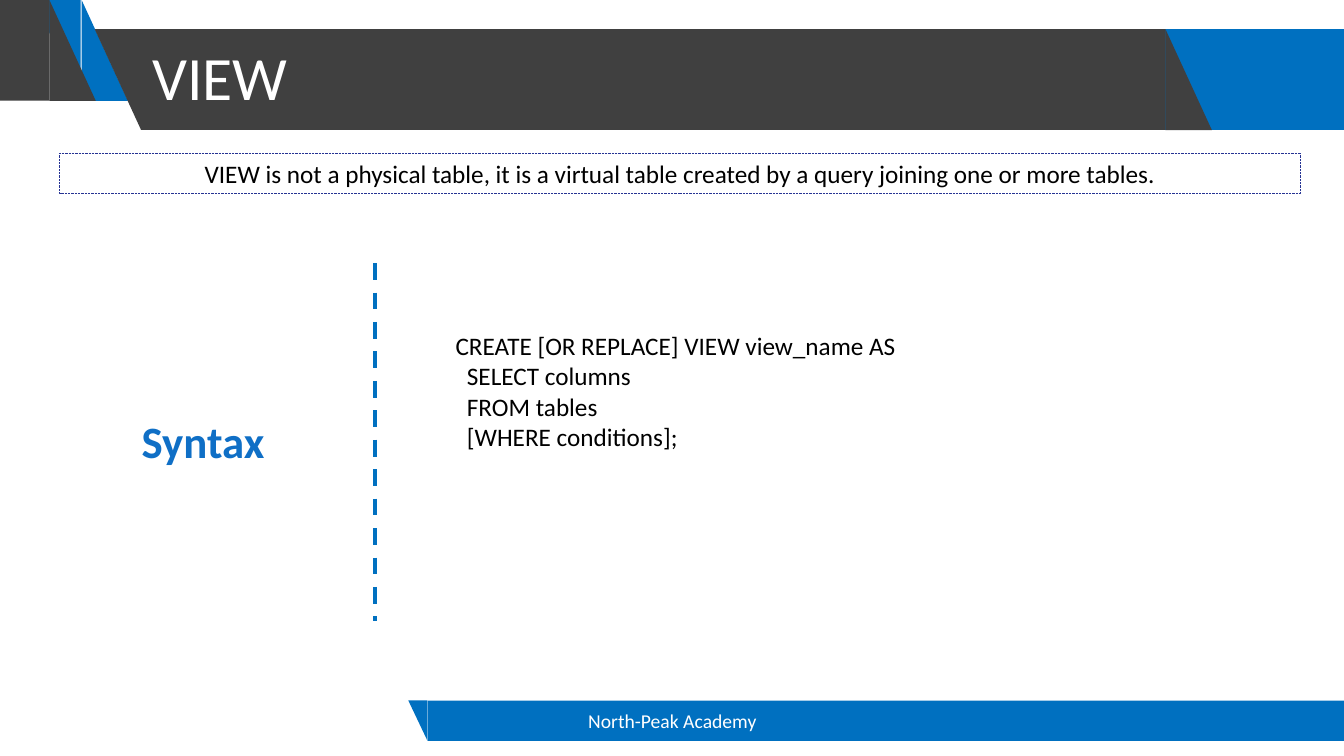
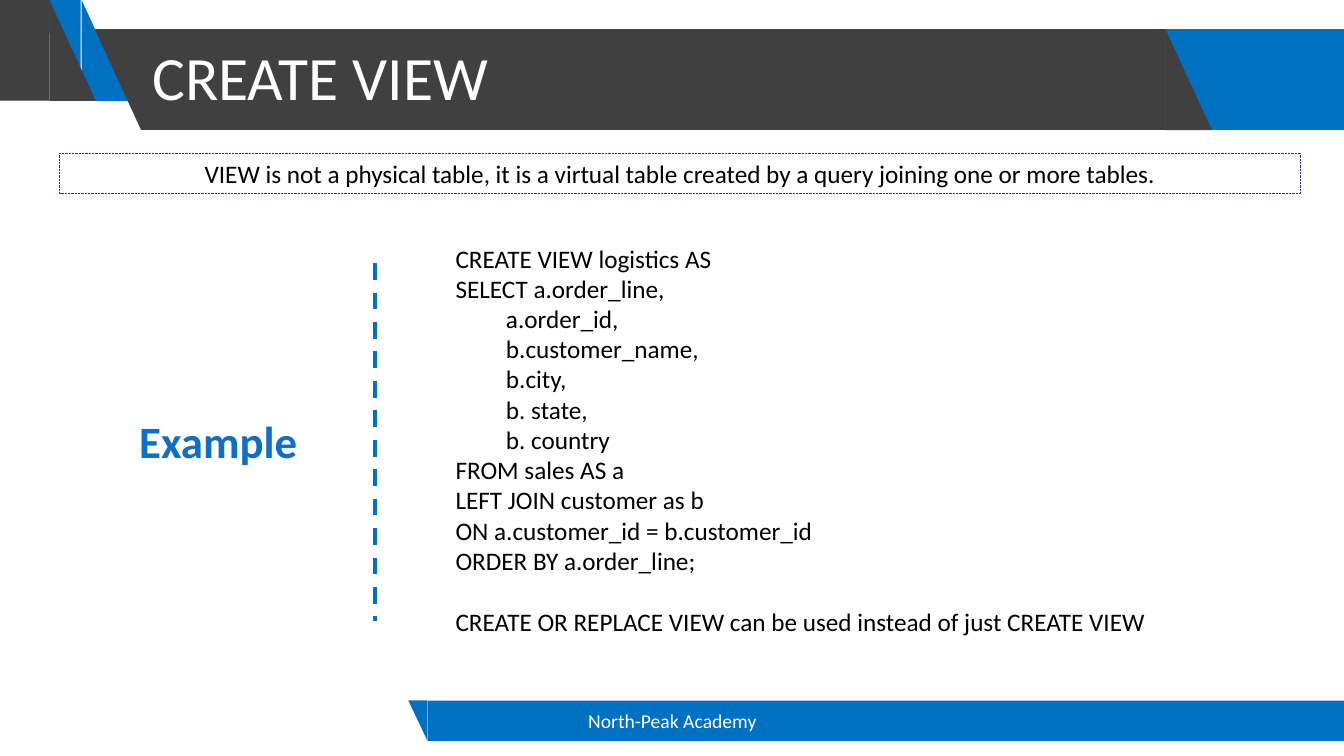
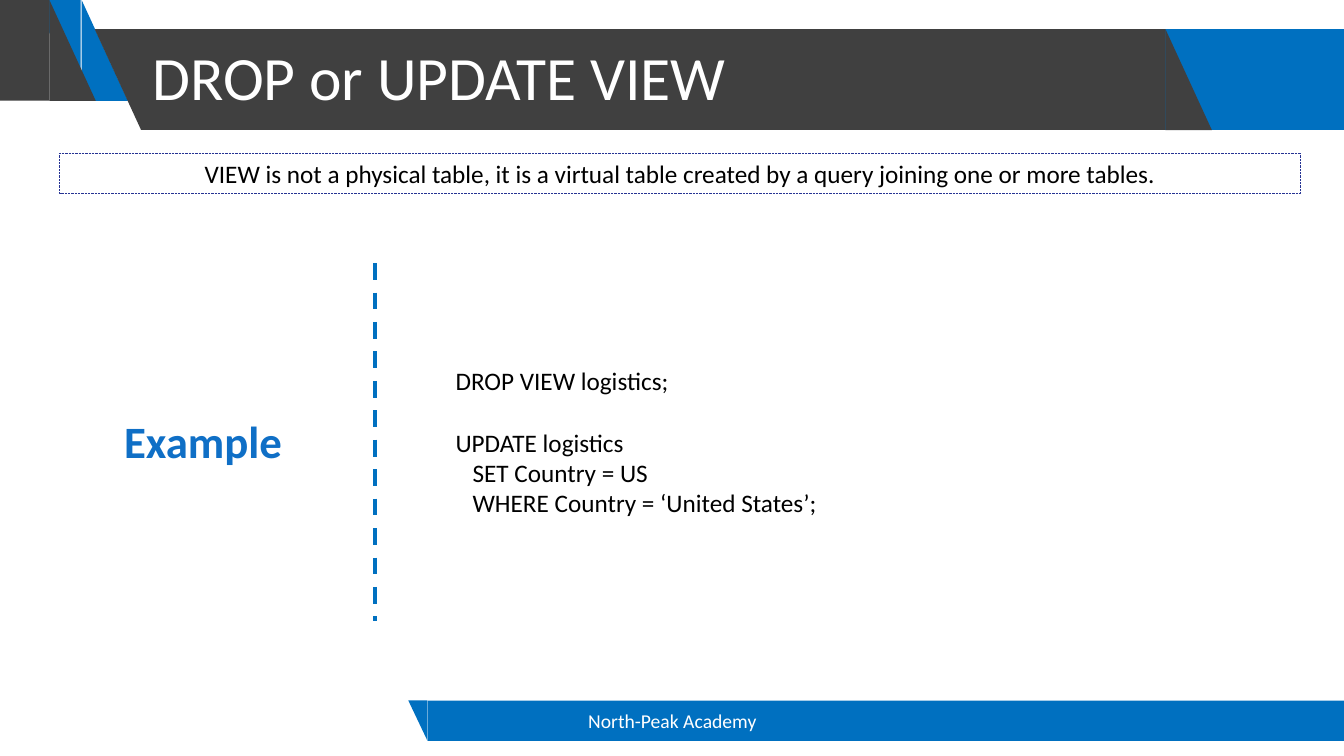
from lxml import etree
from pptx import Presentation
from pptx.dml.color import RGBColor
from pptx.enum import dml, shapes, text
from pptx.oxml.ns import qn
from pptx.util import Inches, Pt

# Content
ACADEMY = "North-Peak Academy"
DEFINITION = ("VIEW is not a physical table, it is a virtual table "
              "created by a query joining one or more tables.")
# An empty code line stands for a one-line gap
LESSONS = [
    {"title": "VIEW", "label": "Syntax", "label_left": 0.31, "code_top": 3.23,
     "code": ["CREATE [OR REPLACE] VIEW view_name AS",
              "  SELECT columns",
              "  FROM tables",
              "  [WHERE conditions];"]},
    {"title": "CREATE VIEW", "label": "Example", "label_left": 0.46, "code_top": 2.36,
     "code": ["CREATE VIEW logistics AS",
              "SELECT a.order_line,",
              "\ta.order_id,",
              "\tb.customer_name,",
              "\tb.city,",
              "\tb. state,",
              "\tb. country",
              "FROM sales AS a",
              "LEFT JOIN customer as b",
              "ON a.customer_id = b.customer_id",
              "ORDER BY a.order_line;",
              "",
              "CREATE OR REPLACE VIEW can be used instead of just CREATE VIEW"]},
    {"title": "DROP or UPDATE VIEW", "label": "Example", "label_left": 0.31, "code_top": 3.58,
     "code": ["DROP VIEW logistics;",
              "",
              "UPDATE logistics",
              "   SET Country = US",
              "   WHERE Country = ‘United States’;"]},
]

# Shared style
FONT = "Calibri"
BLUE, DARK, NAVY, LABEL_BLUE = "0070C0", "404040", "263393", "0F6FC6"
WHITE, BLACK = "FFFFFF", "000000"
LINE_HEIGHT, CODE_GAP = 0.303, Pt(22)
LEFT, CENTER = text.PP_ALIGN.LEFT, text.PP_ALIGN.CENTER
RECT = shapes.MSO_SHAPE.RECTANGLE
CORNER = shapes.MSO_SHAPE.RIGHT_TRIANGLE
SLANT = 0.46

# Bands: preset, left, top, width, height, colour, turned half round
BANDS = [
    (RECT, 10.68, 0.29, 2.65, 1, BLUE, False),
    (CORNER, 0.81, 0, SLANT, 1, BLUE, False),
    (CORNER, 0.34, 0, SLANT, 1, BLUE, True),
    (RECT, 0, 0, 0.49, 1, DARK, False),
    (CORNER, 0.49, 0, SLANT, 1, DARK, False),
    (CORNER, 0.94, 0.29, SLANT, 1, DARK, True),
    (RECT, 1.4, 0.29, 10.16, 1, DARK, False),
    (CORNER, 11.56, 0.29, SLANT, 1, DARK, False),
    (RECT, 4.24, 6.95, 9.09, 0.4, BLUE, False),
    (CORNER, 4.05, 6.95, 0.19, 0.4, BLUE, True),
]


def rgb(value):
    return RGBColor.from_string(value)


def box(*lengths):
    return [Inches(length) for length in lengths]


def write(frame, lines, size, colour, align=LEFT, bold=False):
    frame.word_wrap = True
    gap = False
    paragraph = None
    for line in lines:
        if not line:
            gap = True
            continue
        paragraph = frame.add_paragraph() if paragraph else frame.paragraphs[0]
        paragraph.text = line
        paragraph.alignment = align
        if gap:
            paragraph.space_before = CODE_GAP
        gap = False
        font = paragraph.font
        font.name, font.size, font.bold = FONT, Pt(size), bold
        font.color.rgb = rgb(colour)


def add_text(slide, place, lines, size, colour, **style):
    frame = slide.shapes.add_textbox(*box(*place)).text_frame
    write(frame, lines, size, colour, **style)
    return frame


def add_bands(slide, layout):
    """Draw the bands and move them to the layout, behind its placeholders."""
    tree = layout.shapes.element if hasattr(layout.shapes, "element") else layout.element.cSld.spTree
    for index, (preset, *place, colour, turned) in enumerate(BANDS):
        band = slide.shapes.add_shape(preset, *box(*place))
        band.shadow.inherit = False
        band.fill.solid()
        band.fill.fore_color.rgb = rgb(colour)
        band.line.fill.background()
        if turned:
            frame = band.element.spPr.find(qn("a:xfrm"))
            frame.set("flipH", "1")
            frame.set("flipV", "1")
        tree.insert(2 + index, band.element)


def add_lesson(prs, layout, lesson):
    slide = prs.slides.add_slide(layout)

    # Title and footer
    title = slide.shapes.title.text_frame
    write(title, [lesson["title"]], 44, WHITE)
    title.vertical_anchor = text.MSO_ANCHOR.MIDDLE
    title.paragraphs[0].line_spacing = 0.9
    footer = add_text(slide, (4.42, 6.95, 4.5, 0.4), [ACADEMY], 14, WHITE, align=CENTER)
    footer.vertical_anchor = text.MSO_ANCHOR.MIDDLE

    # Definition
    definition = slide.shapes.add_shape(RECT, *box(0.59, 1.52, 12.31, 0.4))
    definition.shadow.inherit = False
    definition.fill.background()
    definition.line.color.rgb = rgb(NAVY)
    definition.line.width = Pt(0.5)
    definition.line.dash_style = dml.MSO_LINE.ROUND_DOT
    write(definition.text_frame, [DEFINITION], 18, BLACK, align=CENTER)

    # Divider
    divider = slide.shapes.add_connector(shapes.MSO_CONNECTOR.STRAIGHT,
                                         *box(3.72, 2.61, 3.72, 6.16))
    divider.line.color.rgb = rgb(BLUE)
    divider.line.width = Pt(3)
    divider.line.dash_style = dml.MSO_LINE.DASH
    etree.SubElement(divider.element.spPr, qn("a:effectLst"))

    # Label and code
    add_text(slide, (lesson["label_left"], 4.06, 3.41, 0.64), [lesson["label"]],
             32, LABEL_BLUE, align=CENTER, bold=True)
    code = lesson["code"]
    add_text(slide, (4.42, lesson["code_top"], 8.26, 0.1 + LINE_HEIGHT * len(code)),
             code, 18, BLACK)
    return slide


def main():
    prs = Presentation()
    prs.slide_width, prs.slide_height = box(13.33, 7.5)
    layout = prs.slide_layouts.get_by_name("Title Only")
    heading = layout.placeholders[0]
    heading.left, heading.top, heading.width, heading.height = box(1.41, 0.07, 10.14, 1.45)

    slides = [add_lesson(prs, layout, lesson) for lesson in LESSONS]
    add_bands(slides[0], layout)
    prs.save("out.pptx")


if __name__ == "__main__":
    main()
